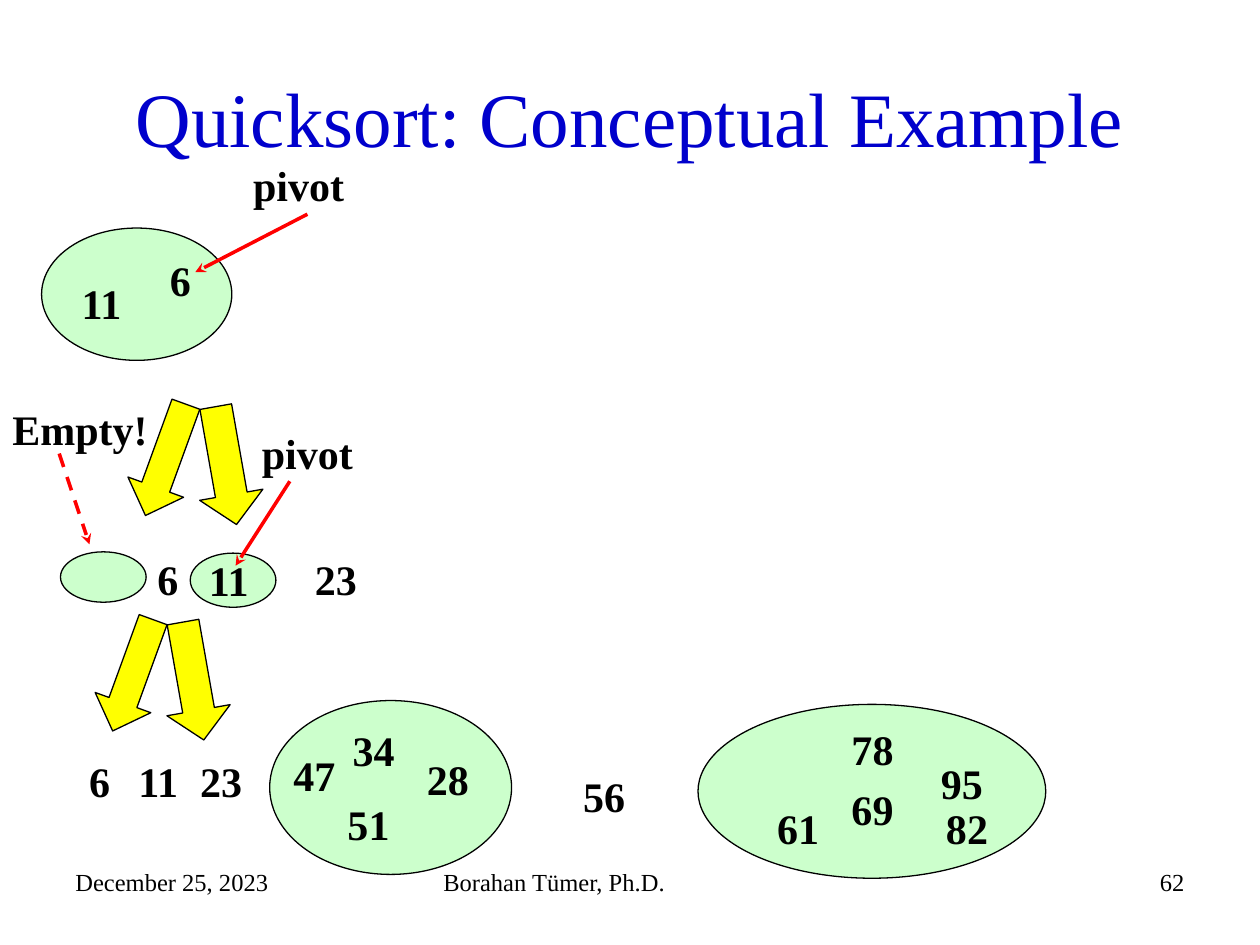
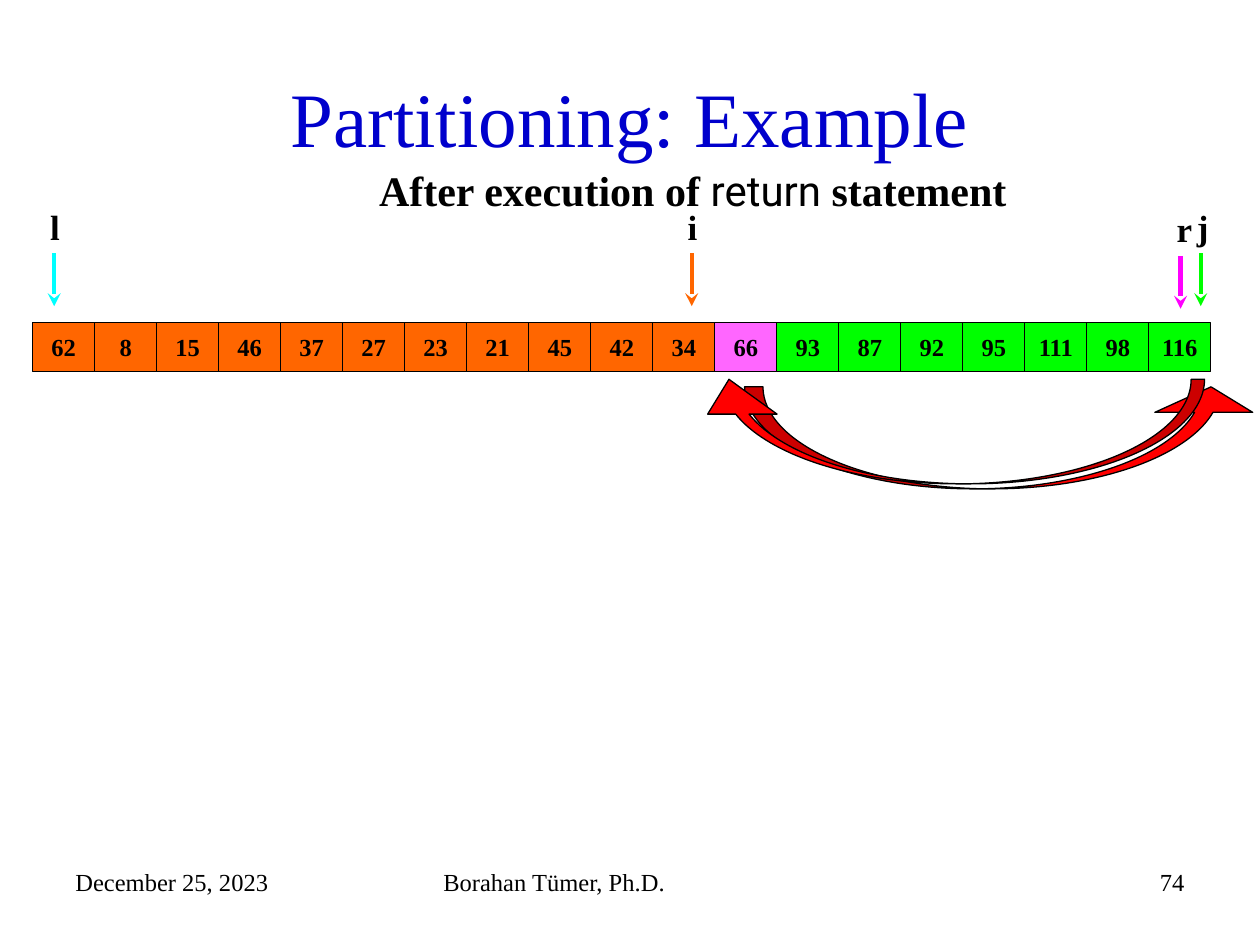
from dataclasses import dataclass

from lxml.etree import SubElement
from pptx import Presentation
from pptx.dml.color import RGBColor
from pptx.enum.dml import MSO_LINE
from pptx.enum.shapes import MSO_CONNECTOR, MSO_SHAPE
from pptx.enum.text import MSO_ANCHOR, MSO_AUTO_SIZE, PP_ALIGN
from pptx.oxml.ns import qn
from pptx.util import Inches, Pt


@dataclass(frozen=True)
class Theme:
    font: str = "Times New Roman"
    code_font: str = "Roboto"
    title: str = "0000CC"
    ink: str = "000000"
    set_fill: str = "CCFFCC"
    split_fill: str = "FFFF00"
    red: str = "FF0000"
    lower: str = "FF6600"
    pivot: str = "FF66FF"
    upper: str = "00FF00"
    left_mark: str = "00FFFF"
    right_mark: str = "FF00FF"
    title_size: int = 44
    label_size: int = 24
    mark_size: int = 20
    small_size: int = 14
    outline: float = 0.75


theme = Theme()


def write(frame, text, size=theme.label_size, font=theme.font, color=theme.ink,
          bold=True, align=PP_ALIGN.LEFT, anchor=MSO_ANCHOR.TOP, wrap=False,
          fit=MSO_AUTO_SIZE.SHAPE_TO_FIT_TEXT):
    """Append a formatted span to the first paragraph of a text frame."""
    frame.word_wrap = wrap
    frame.auto_size = fit
    frame.vertical_anchor = anchor
    para = frame.paragraphs[0]
    para.alignment = align
    span = para.add_run()
    span.text = text
    span.font.name = font
    span.font.size = Pt(size)
    span.font.bold = bold
    span.font.color.rgb = RGBColor.from_string(color)


def add_figure(slide, kind, box, fill, rotation=0, adjustments=()):
    figure = slide.shapes.add_shape(kind, *map(Inches, box))
    figure.shadow.inherit = False
    figure.fill.solid()
    figure.fill.fore_color.rgb = RGBColor.from_string(fill)
    figure.line.color.rgb = RGBColor.from_string(theme.ink)
    figure.line.width = Pt(theme.outline)
    figure.rotation = rotation
    for index, value in enumerate(adjustments):
        figure.adjustments[index] = value
    return figure


deck = Presentation()
deck.slide_width, deck.slide_height = Inches(10), Inches(7.5)
title_only = deck.slide_layouts[5]

# Titles and footers
for heading, number in (("Quicksort: Conceptual Example", "62"),
                        ("Partitioning: Example", "74")):
    slide = deck.slides.add_slide(title_only)
    title = slide.shapes.title
    title.left, title.top = Inches(0.5), Inches(0.3)
    title.width, title.height = Inches(9), Inches(1.25)
    write(title.text_frame, heading, size=theme.title_size, color=theme.title, bold=False,
          align=PP_ALIGN.CENTER, anchor=MSO_ANCHOR.MIDDLE, wrap=True, fit=MSO_AUTO_SIZE.NONE)
    for text, left, width, align in (
        ("December 25, 2023", 0.5, 2.33, PP_ALIGN.LEFT),
        ("Borahan Tümer, Ph.D.", 3.42, 3.17, PP_ALIGN.LEFT),
        (number, 7.17, 2.33, PP_ALIGN.RIGHT),
    ):
        footer = slide.shapes.add_textbox(Inches(left), Inches(6.83), Inches(width), Inches(0.52))
        write(footer.text_frame, text, size=theme.small_size, bold=False, align=align,
              wrap=True, fit=MSO_AUTO_SIZE.NONE)

quicksort, partitioning = deck.slides

# Quicksort: splits, subsets and their numbers
for shift, drop in ((0, 0), (-0.26, 1.71)):
    add_figure(quicksort, MSO_SHAPE.DOWN_ARROW, (1.08 + shift, 3.18 + drop, 0.47, 0.94),
               theme.split_fill, rotation=20, adjustments=(0.5, 0.51))
    add_figure(quicksort, MSO_SHAPE.DOWN_ARROW, (1.54 + shift, 3.22 + drop, 0.51, 0.95),
               theme.split_fill, rotation=350, adjustments=(0.5, 0.47))

for subset in ((5.54, 5.59, 2.76, 1.38), (0.33, 1.81, 1.51, 1.05), (2.14, 5.56, 1.92, 1.38),
               (0.48, 4.38, 0.68, 0.4), (1.51, 4.39, 0.68, 0.43)):
    add_figure(quicksort, MSO_SHAPE.OVAL, subset, theme.set_fill)

label_widths = {"pivot": 0.92, "Empty!": 1.28, "6": 0.37}
for text, left, top in (
    ("pivot", 1.91, 1.22), ("6", 1.25, 1.97), ("11", 0.55, 2.15),
    ("Empty!", 0, 3.15), ("pivot", 1.98, 3.34),
    ("6", 1.15, 4.34), ("11", 1.56, 4.35), ("23", 2.4, 4.34),
    ("6", 0.61, 5.95), ("11", 1, 5.95), ("23", 1.49, 5.95),
    ("34", 2.7, 5.7), ("47", 2.23, 5.9), ("51", 2.66, 6.29), ("28", 3.29, 5.93),
    ("56", 4.53, 6.07),
    ("78", 6.66, 5.69), ("95", 7.37, 5.96), ("69", 6.66, 6.17),
    ("61", 6.07, 6.32), ("82", 7.41, 6.32),
):
    label = quicksort.shapes.add_textbox(Inches(left), Inches(top),
                                         Inches(label_widths.get(text, 0.53)), Inches(0.5))
    write(label.text_frame, text)

arrows = [
    (quicksort, (2.44, 1.7), (1.55, 2.16), theme.red, 2, None),
    (quicksort, (0.47, 3.6), (0.71, 4.32), theme.red, 2, MSO_LINE.DASH),
    (quicksort, (2.3, 3.82), (1.87, 4.49), theme.red, 2, None),
]

# Partitioning: the array around its pivot
values = [62, 8, 15, 46, 37, 27, 23, 21, 45, 42, 34, 66, 93, 87, 92, 95, 111, 98, 116]
pivot_index = values.index(66)
array_left, array_width = 0.26, 9.35
cell_width = array_width / len(values)
for index, value in enumerate(values):
    if index < pivot_index:
        fill = theme.lower
    elif index == pivot_index:
        fill = theme.pivot
    else:
        fill = theme.upper
    cell = add_figure(partitioning, MSO_SHAPE.RECTANGLE,
                      (array_left + index * cell_width, 2.56, cell_width, 0.39), fill)
    write(cell.text_frame, str(value), size=theme.small_size, align=PP_ALIGN.CENTER,
          anchor=MSO_ANCHOR.MIDDLE, fit=MSO_AUTO_SIZE.NONE)

# Index marks above the array
for name, center, top, width, color in (
    ("r", 9.37, 1.6, 0.32, theme.right_mark), ("i", 5.49, 1.58, 0.28, theme.lower),
    ("l", 0.43, 1.58, 0.28, theme.left_mark), ("j", 9.53, 1.58, 0.29, theme.upper),
):
    mark = partitioning.shapes.add_textbox(Inches(center - 0.13), Inches(top),
                                           Inches(width), Inches(0.43))
    write(mark.text_frame, name, size=theme.mark_size)
    arrows.append((partitioning, (center, top + 0.43), (center, top + 0.85), color, 2.5, None))

caption = partitioning.shapes.add_textbox(Inches(2.91), Inches(1.26), Inches(5.21), Inches(0.5))
write(caption.text_frame, "After execution of ")
write(caption.text_frame, "return", font=theme.code_font, bold=False)
write(caption.text_frame, " statement")

# Swap arrows below the array
add_figure(partitioning, MSO_SHAPE.CURVED_UP_ARROW, (5.91, 3.07, 4.09, 0.81), theme.red,
           adjustments=(0.18, 0.959, 0.25))
add_figure(partitioning, MSO_SHAPE.CURVED_DOWN_ARROW, (5.51, 3.01, 4.05, 0.83), theme.red,
           rotation=180, adjustments=(0.128, 0.664, 0.333))

# Thin arrows of both slides
for slide, start, end, color, width, dash in arrows:
    arrow = slide.shapes.add_connector(MSO_CONNECTOR.STRAIGHT, *map(Inches, start + end))
    arrow.line.color.rgb = RGBColor.from_string(color)
    arrow.line.width = Pt(width)
    if dash:
        arrow.line.dash_style = dash
    properties = arrow._element.spPr
    SubElement(properties.find(qn("a:ln")), qn("a:tailEnd"), type="stealth")
    SubElement(properties, qn("a:effectLst"))

deck.save("out.pptx")
